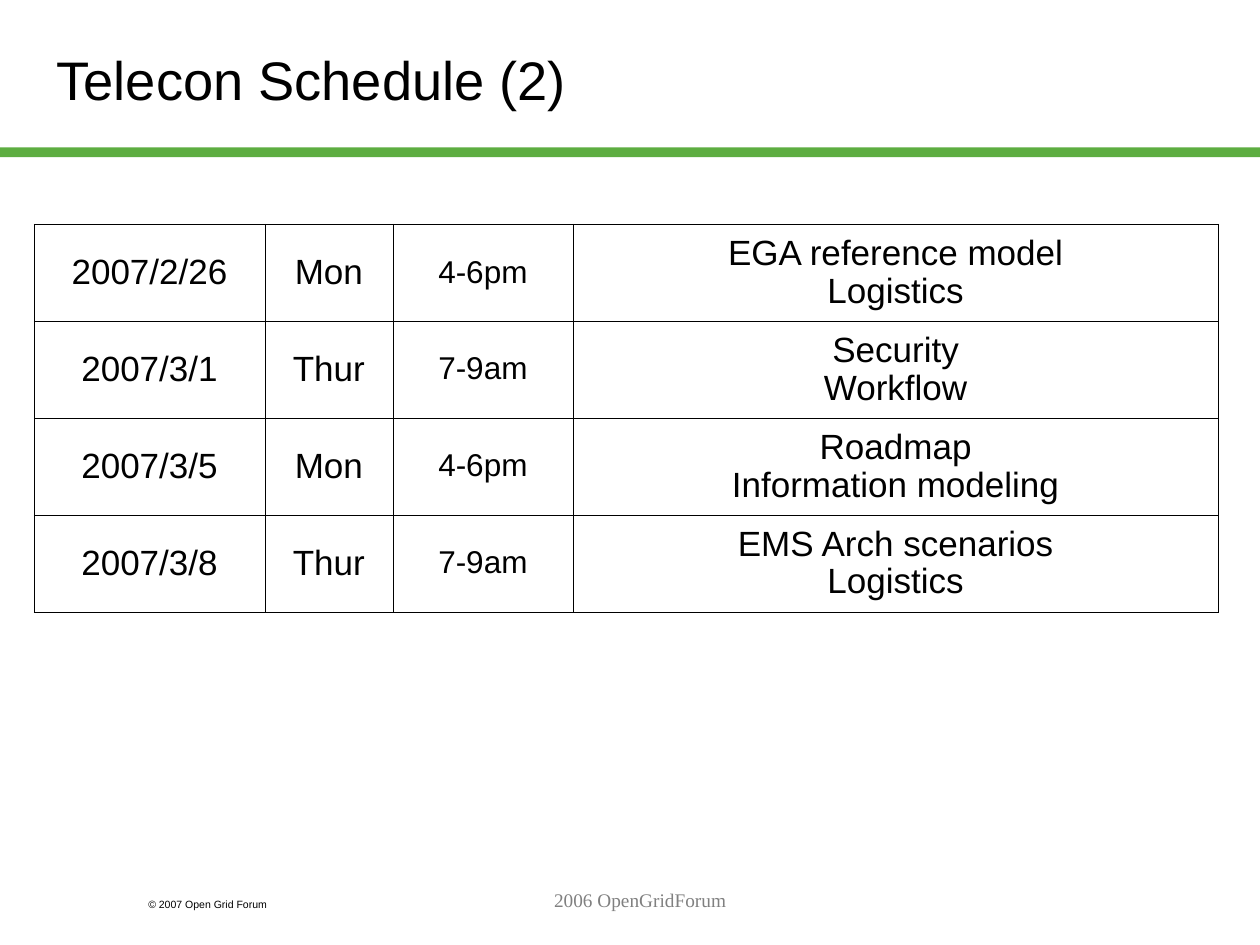
"""Builds the Telecon Schedule slide with its table and footers."""
from lxml.etree import SubElement
from pptx import Presentation
from pptx.dml.color import RGBColor
from pptx.enum.shapes import MSO_SHAPE
from pptx.enum.text import MSO_ANCHOR, PP_ALIGN
from pptx.oxml.ns import qn
from pptx.util import Cm, Pt


def rgb(color):
    return RGBColor.from_string(color)


def write(tf, text, size, font="Arial", color="000000", align=PP_ALIGN.LEFT,
          anchor=MSO_ANCHOR.TOP, spacing=1.0):
    tf.word_wrap = True
    tf.vertical_anchor = anchor
    for i, line in enumerate(text.split("\n")):
        p = tf.add_paragraph() if i else tf.paragraphs[0]
        p.alignment = align
        p.line_spacing = spacing
        r = p.add_run()
        r.text = line
        r.font.size = Pt(size)
        r.font.name = font
        r.font.color.rgb = rgb(color)


prs = Presentation()
prs.slide_width, prs.slide_height = Cm(25.4), Cm(19.05)
s = prs.slides.add_slide(prs.slide_layouts[5])

bar = s.shapes.add_shape(MSO_SHAPE.RECTANGLE, 0, Cm(2.97), prs.slide_width, Cm(0.2))
bar.shadow.inherit = False
bar.fill.solid()
bar.fill.fore_color.rgb = rgb("5DAD41")
bar.line.fill.background()

title = s.shapes.title
title.left, title.top, title.width, title.height = Cm(0.89), Cm(0.43), Cm(22.6), Cm(2.31)
write(title.text_frame, "Telecon Schedule (2)", 31, anchor=MSO_ANCHOR.MIDDLE)

sessions = [
    ("2007/2/26", "Mon", "4-6pm", "EGA reference model\nLogistics"),
    ("2007/3/1", "Thur", "7-9am", "Security\nWorkflow"),
    ("2007/3/5", "Mon", "4-6pm", "Roadmap\nInformation modeling"),
    ("2007/3/8", "Thur", "7-9am", "EMS Arch scenarios\nLogistics"),
]
widths = [4.65, 2.58, 3.63, 13.01]
sizes = [20, 20, 18, 20]
row_height = 1.955
table = s.shapes.add_table(len(sessions), len(widths), Cm(0.69), Cm(4.52),
                           Cm(sum(widths)), Cm(row_height * len(sessions))).table
table.first_row = table.horz_banding = False
for col, width in zip(table.columns, widths):
    col.width = Cm(width)
for row, session in zip(table.rows, sessions):
    row.height = Cm(row_height)
    for cell, text, size in zip(row.cells, session, sizes):
        write(cell.text_frame, text, size, align=PP_ALIGN.CENTER, spacing=0.97)
        cell.vertical_anchor = MSO_ANCHOR.MIDDLE
        tcPr = cell._tc.get_or_add_tcPr()
        for side in ("lnL", "lnR", "lnT", "lnB"):
            ln = SubElement(tcPr, qn(f"a:{side}"), w=str(Pt(0.45)))
            SubElement(SubElement(ln, qn("a:solidFill")), qn("a:srgbClr"), val="000000")
        cell.fill.solid()
        cell.fill.fore_color.rgb = rgb("FFFFFF")

notice = s.shapes.add_textbox(Cm(2.74), Cm(17.98), Cm(3.81), Cm(0.5))
write(notice.text_frame, "© 2007 Open Grid Forum", 6)

footer = s.shapes.add_textbox(Cm(5.5), Cm(17.78), Cm(14.81), Cm(1.27))
write(footer.text_frame, "2006 OpenGridForum", 11, font="Times New Roman",
      color="808080", align=PP_ALIGN.CENTER)

prs.save("out.pptx")
